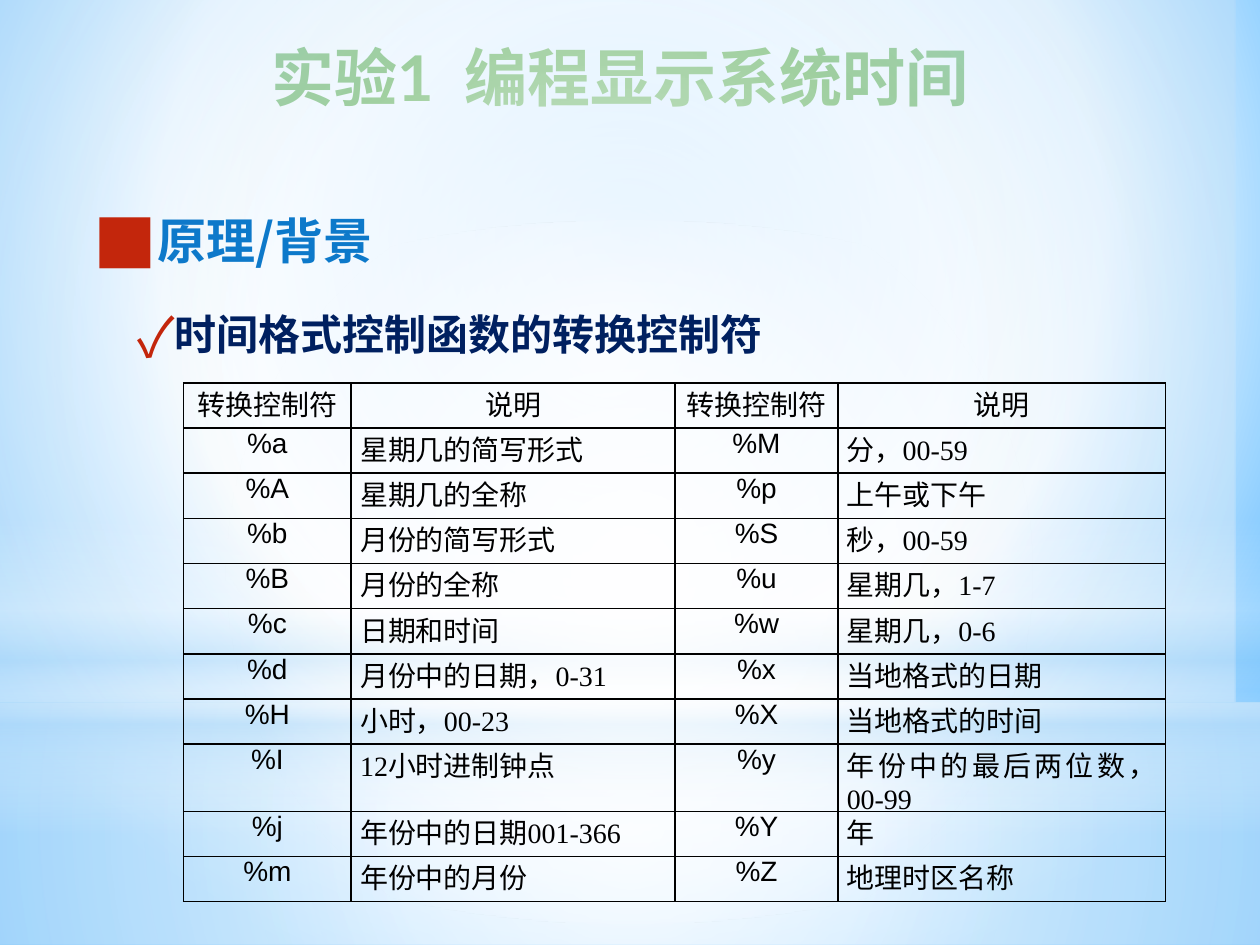
from lxml.etree import SubElement as Sub, Element as Elem
from pptx import Presentation
from pptx.dml.color import RGBColor as RGB
from pptx.enum.shapes import MSO_SHAPE as Geo
from pptx.enum.text import MSO_ANCHOR as Anchor, PP_ALIGN as Align
from pptx.oxml.ns import qn
from pptx.util import Cm, Pt

HUES = {"title": "008000", "head": "0D79CA", "sub": "002060", "mark": "C3260C",
        "ink": "000000", "white": "FFFFFF", "pale": "B4DCFA",
        "sky": "9ED5FF", "deep": "5BB9FF"}
CJK = "Noto Sans CJK SC"
MID = (50, 50, 50, 50)
HEAD = ("转换控制符", "说明") * 2
ROWS = [
    HEAD,
    ("%a", "星期几的简写形式", "%M", "分，00-59"),
    ("%A", "星期几的全称", "%p", "上午或下午"),
    ("%b", "月份的简写形式", "%S", "秒，00-59"),
    ("%B", "月份的全称", "%u", "星期几，1-7"),
    ("%c", "日期和时间", "%w", "星期几，0-6"),
    ("%d", "月份中的日期，0-31", "%x", "当地格式的日期"),
    ("%H", "小时，00-23", "%X", "当地格式的时间"),
    ("%I", "12小时进制钟点", "%y", "年份中的最后两位数，00-99"),
    ("%j", "年份中的日期001-366", "%Y", "年"),
    ("%m", "年份中的月份", "%Z", "地理时区名称"),
]


def blend(node, fill, stops, rect=None):
    """Fill with gradient stops, radial when a focus rect is given."""
    fill.gradient()
    grad = node.find(".//" + qn("a:gradFill"))
    for kid in list(grad):
        grad.remove(kid)
    stop_list = Sub(grad, qn("a:gsLst"))
    for pos, hue, alpha in stops:
        stop = Sub(stop_list, qn("a:gs"), pos=str(pos * 1000))
        tint = Sub(stop, qn("a:srgbClr"), val=HUES[hue])
        if alpha < 100:
            Sub(tint, qn("a:alpha"), val=str(alpha * 1000))
    if rect:
        path = Sub(grad, qn("a:path"), path="circle")
        Sub(path, qn("a:fillToRect"),
            **{side: str(val * 1000) for side, val in zip("ltrb", rect)})
    else:
        Sub(grad, qn("a:lin"), ang="5400000", scaled="0")


def glow(slide, geo, box, stops, rect=None):
    """Add a translucent background shape."""
    shape = slide.shapes.add_shape(geo, *map(Cm, box))
    shape.shadow.inherit = False
    shape.line.fill.background()
    blend(shape.element, shape.fill, stops, rect)


def write(para, text, size, face, hue, bold=False):
    """Add one formatted run."""
    run = para.add_run()
    run.text = text
    font = run.font
    font.size, font.name, font.bold = Pt(size), face, bold
    font.color.rgb = RGB.from_string(HUES[hue])
    props = run.font.fill and para.runs[-1].font
    props = para.runs[-1]._r.get_or_add_rPr()
    Sub(props, qn("a:ea"), typeface=CJK)
    return props


def bullet(para, mark, left):
    """Give a paragraph its hanging bullet."""
    props = para._p.get_or_add_pPr()
    props.set("marL", str(Cm(left)))
    props.set("indent", str(-Cm(0.5)))
    Sub(Sub(props, qn("a:buClr")), qn("a:srgbClr"), val=HUES["mark"])
    Sub(props, qn("a:buSzPct"), val="130000")
    Sub(props, qn("a:buFont"), typeface=CJK)
    Sub(props, qn("a:buChar"), char=mark)


def title(slide):
    """Place and write the title."""
    shape = slide.shapes.title
    shape.left, shape.top, shape.width, shape.height = map(Cm, (1.5, 0.53, 22, 2))
    frame = shape.text_frame
    frame.vertical_anchor = Anchor.MIDDLE
    para = frame.paragraphs[0]
    para.alignment = Align.CENTER
    for text, gap in (("实验1", 0), (" ", 900), ("编程显示系统时间", 0)):
        props = write(para, text, 36, "Lato", "title", True)
        if gap:
            props.set("spc", str(gap))


def body(slide):
    """Write the two bulleted headings."""
    frame = slide.shapes.add_textbox(*map(Cm, (1.5, 3.53, 22.6, 15))).text_frame
    frame.word_wrap = True
    items = (("原理/背景", 28, "head", "■", 0.64),
             ("时间格式控制函数的转换控制符", 24, "sub", "✓", 1.52))
    for num, (text, size, hue, mark, left) in enumerate(items):
        para = frame.add_paragraph() if num else frame.paragraphs[0]
        para.level = num
        para.line_spacing = 1.5
        para.space_before, para.space_after = Pt(size * 0.2), Pt(3)
        bullet(para, mark, left)
        write(para, text, size, CJK, hue, True)


def edge(props):
    """Draw thin black borders around a cell."""
    for spot, side in enumerate("LRTB"):
        line = Elem(qn("a:ln" + side), w=str(Pt(1)))
        Sub(Sub(line, qn("a:solidFill")), qn("a:srgbClr"), val=HUES["ink"])
        props.insert(spot, line)


def grid(slide):
    """Build the table of conversion codes."""
    frame = slide.shapes.add_table(len(ROWS), 4, *map(Cm, (3.7, 7.72, 19.8, 10.01)))
    table = frame.table
    table.first_row = table.horz_banding = False
    for col, wide in zip(table.columns, (3.38, 6.53, 3.28, 6.61)):
        col.width = Cm(wide)
    for row, texts in enumerate(ROWS):
        table.rows[row].height = Cm(0.91)
        for col, text in enumerate(texts):
            cell = table.cell(row, col)
            cell.fill.background()
            cell.margin_left = cell.margin_right = Cm(0.18)
            cell.margin_top = cell.margin_bottom = 0
            para = cell.text_frame.paragraphs[0]
            code = col % 2 == 0
            para.alignment = Align.CENTER if code or row == 0 else Align.JUSTIFY
            face = "Arial" if code and row else "Times New Roman"
            write(para, text, 16, face, "ink")
    for props in frame.element.iter(qn("a:tcPr")):
        edge(props)


def main():
    """Build and save the slide."""
    deck = Presentation()
    deck.slide_width, deck.slide_height = Cm(25.4), Cm(19.05)
    slide = deck.slides.add_slide(deck.slide_layouts[5])
    blend(slide.element, slide.background.fill,
          [(0, "sky", 100), (60, "white", 100), (100, "deep", 100)], (20, 10, 20, 60))
    glow(slide, Geo.RECTANGLE, (0, 14.17, 25.4, 4.88),
         [(0, "white", 91), (37, "white", 76), (100, "pale", 79)], MID)
    glow(slide, Geo.RECTANGLE, (-0.5, -0.02, 25.4, 14.17),
         [(0, "white", 89), (48, "white", 62), (100, "pale", 79)], MID)
    glow(slide, Geo.RECTANGLE, (0, 10.46, 25.4, 6.35),
         [(0, "white", 0), (29, "white", 30), (45, "pale", 40),
          (55, "white", 26), (65, "pale", 60), (100, "white", 0)])
    glow(slide, Geo.OVAL, (0, 4.45, 25.4, 14.17),
         [(0, "white", 100), (56, "white", 0)], MID)
    body(slide)
    title(slide)
    grid(slide)
    deck.save("out.pptx")


main()
